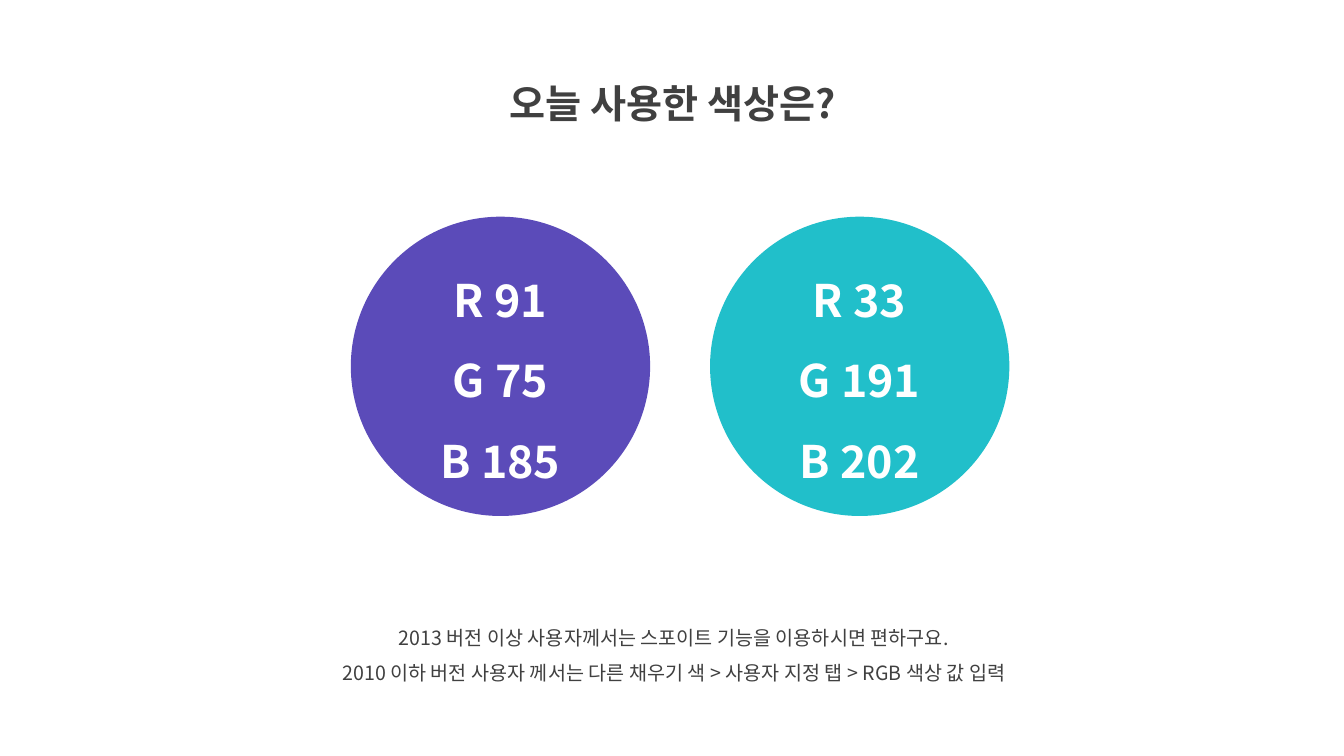
from lxml.etree import SubElement
from pptx import Presentation
from pptx.dml.color import RGBColor
from pptx.enum.shapes import MSO_SHAPE as Preset
from pptx.enum.text import MSO_ANCHOR as Anchor, MSO_AUTO_SIZE as AutoSize, PP_ALIGN as Align
from pptx.oxml.ns import qn
from pptx.util import Pt

INK = RGBColor(64, 64, 64)
WHITE = RGBColor(255, 255, 255)
PURPLE = RGBColor(91, 75, 185)
TEAL = RGBColor(33, 191, 202)


class ColorSlide:
    font_name = "Noto Sans CJK KR"
    line_spacing = 1.5

    def __init__(self, slide):
        self.slide = slide

    def set_lines(self, frame, lines, color, **font_format):
        """Fill a text frame with centred lines in the slide's font."""
        frame.word_wrap = True
        frame.text = "\n".join(lines)
        for paragraph in frame.paragraphs:
            paragraph.alignment = Align.CENTER
            paragraph.line_spacing = self.line_spacing
            for run in paragraph.runs:
                run.font.color.rgb = color
                for name, value in {"name": self.font_name, **font_format}.items():
                    setattr(run.font, name, value)
                # Korean letters take the East Asian typeface
                SubElement(run.font._element, qn("a:ea"), typeface=self.font_name)

    def text(self, box, lines, **font_format):
        frame = self.slide.shapes.add_textbox(*map(Pt, box)).text_frame
        self.set_lines(frame, lines, INK, **font_format)
        frame.auto_size = AutoSize.SHAPE_TO_FIT_TEXT

    def swatch(self, left, top, diameter, color):
        """Draw a circle labelled with its own RGB values."""
        box = map(Pt, (left, top, diameter, diameter))
        circle = self.slide.shapes.add_shape(Preset.OVAL, *box)
        circle.shadow.inherit = False
        circle.fill.solid()
        circle.fill.fore_color.rgb = color
        circle.line.fill.background()
        circle.text_frame.vertical_anchor = Anchor.MIDDLE
        labels = [f"{channel} {value}" for channel, value in zip("RGB", color)]
        self.set_lines(circle.text_frame, labels, WHITE, size=Pt(32), bold=True)


def main():
    deck = Presentation()
    deck.slide_width, deck.slide_height = Pt(960), Pt(540)
    page = ColorSlide(deck.slides.add_slide(deck.slide_layouts[6]))

    # Title
    page.text((313.9, 36, 333.4, 51.8), ["오늘 사용한 색상은?"], size=Pt(28), bold=True)

    # Instructions
    page.text(
        (193.7, 434.9, 575.3, 58.3),
        [
            "2013 버전 이상 사용자께서는 스포이트 기능을 이용하시면 편하구요.",
            "2010 이하 버전 사용자 께서는 다른 채우기 색 > 사용자 지정 탭 > RGB 색상 값 입력",
        ],
        size=Pt(14),
    )

    # Colour circles
    for column, color in enumerate((PURPLE, TEAL)):
        page.swatch(250.6 + column * 256.6, 154.8, 213.8, color)

    deck.save("out.pptx")


if __name__ == "__main__":
    main()
